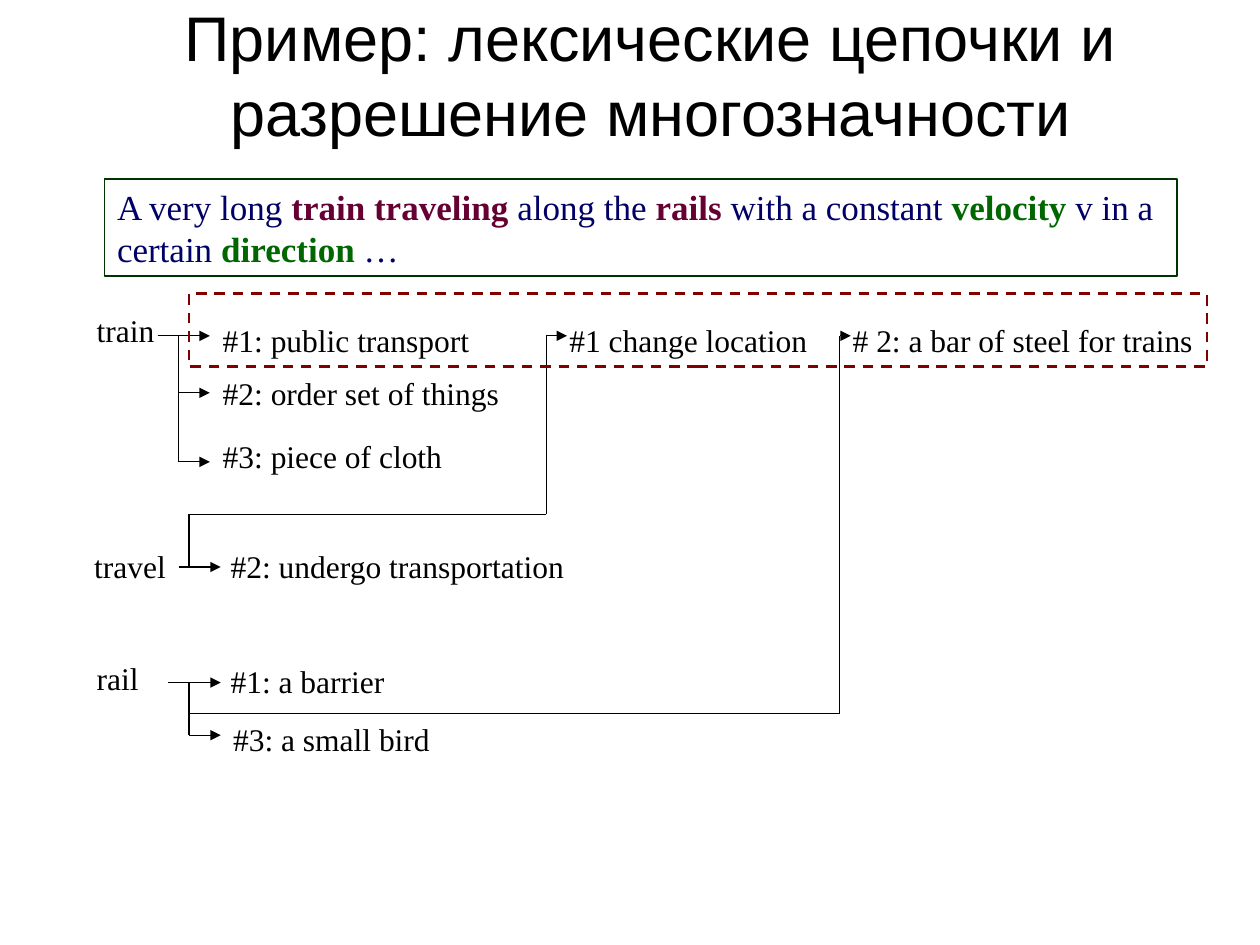
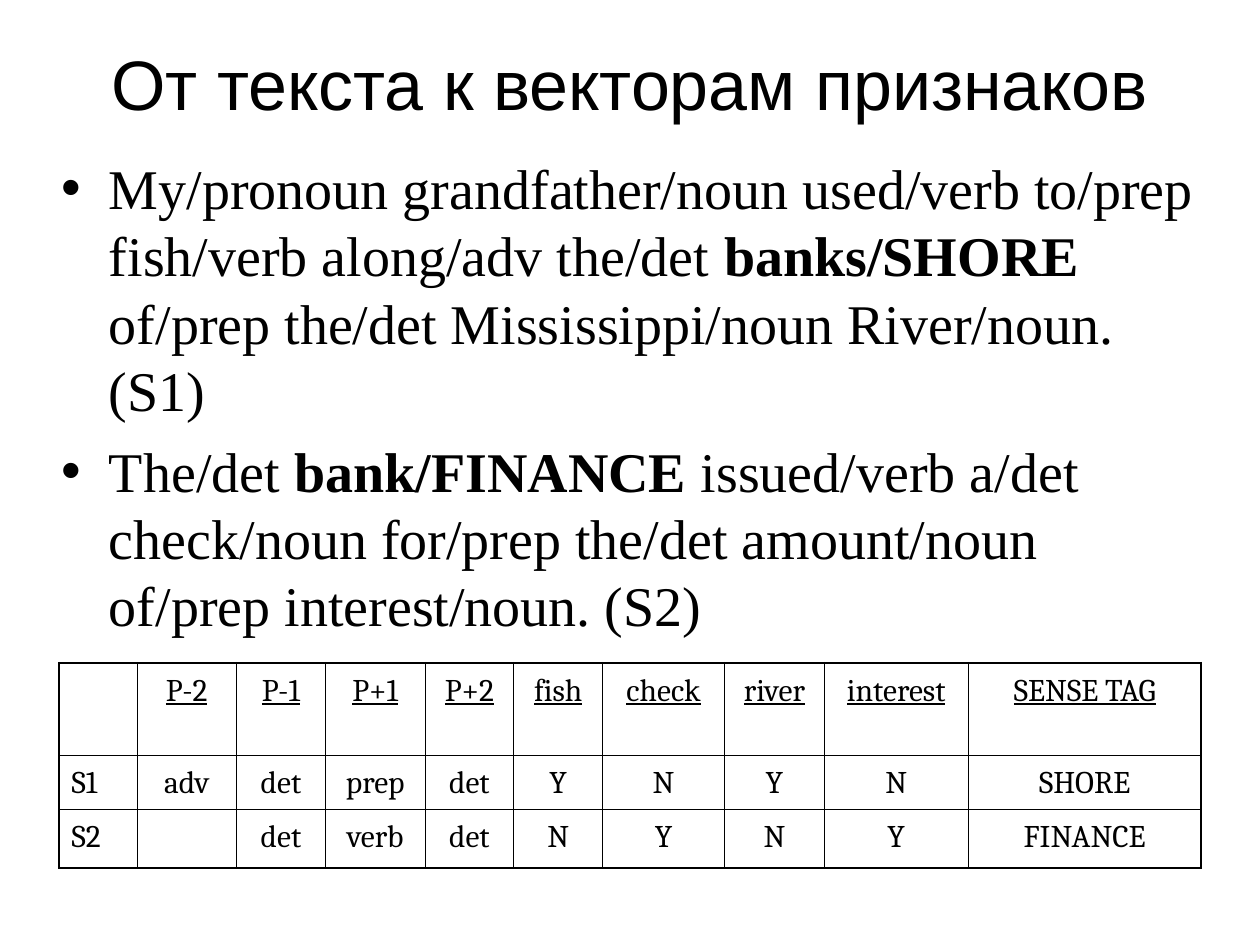
from itertools import pairwise

from lxml import etree
from pptx import Presentation
from pptx import util as u
from pptx.dml.color import RGBColor
from pptx.enum import dml, shapes, text
from pptx.oxml.ns import qn

COLORS = {
    "black": "000000",
    "navy": "000066",
    "plum": "660033",
    "green": "006600",
    "frame": "003300",
    "chain": "800000",
}
TITLE_FONT, BODY_FONT, TABLE_FONT = "Arial", "Times New Roman", "Cambria"

CHAINS_TITLE = "Пример: лексические цепочки и разрешение многозначности"
SENTENCE = [
    [
        ("A very long ", "navy"),
        ("train traveling", "plum"),
        (" along the ", "navy"),
        ("rails ", "plum"),
        ("with a constant ", "navy"),
        ("velocity ", "green"),
        ("v in a", "navy"),
    ],
    [("certain ", "navy"), ("direction ", "green"), ("…", "navy")],
]
LABELS = [
    ("train", 1.7, 6.15, 1.7),
    ("#1: public transport", 4.24, 6.35, 5.52),
    ("#2: order set of things", 4.24, 7.42, 6.15),
    ("#3: piece of cloth", 4.24, 8.69, 4.96),
    ("travel", 1.65, 10.9, 1.98),
    ("#1 change location", 11.23, 6.35, 5.34),
    ("#2: undergo transportation", 4.4, 10.9, 7.28),
    ("rail", 1.7, 13.16, 1.38),
    ("#1: a barrier", 4.4, 13.23, 3.65),
    ("# 2: a bar of steel for trains", 16.94, 6.35, 7.4),
    ("#3: a small bird", 4.45, 14.4, 4.5),
]
SENSE_ROW = 6.77
TRAVEL_ROW = 11.43
RAIL_ROW = 13.76
ROUTES = [
    [(3.18, SENSE_ROW), (4.23, SENSE_ROW)],
    [(3.6, 7.83), (3.6, 9.31), (4.23, 9.31)],
    [(3.6, TRAVEL_ROW), (4.45, TRAVEL_ROW)],
    [(3.39, RAIL_ROW), (4.45, RAIL_ROW)],
    [(3.81, RAIL_ROW), (3.81, 14.82), (4.45, 14.82)],
    [(3.81, TRAVEL_ROW), (3.81, 10.37), (11.01, 10.37),
     (11.01, SENSE_ROW), (11.43, SENSE_ROW)],
    [(3.81, 14.39), (16.93, 14.39), (16.93, SENSE_ROW), (17.15, SENSE_ROW)],
]
TRAIN_ELBOW = [(3.18, SENSE_ROW), (4.23, 7.92)]
ELBOW_BEND = 40000

VECTORS_TITLE = "От текста к векторам признаков"
TAGGED = [
    [
        ("My/pronoun grandfather/noun used/verb to/prep fish/verb along/adv the/det ", False),
        ("banks/SHORE", True),
        (" of/prep the/det Mississippi/noun River/noun. (S1)", False),
    ],
    [
        ("The/det ", False),
        ("bank/FINANCE ", True),
        ("issued/verb a/det check/noun for/prep the/det amount/noun "
         "of/prep interest/noun. (S2)", False),
    ],
]
FEATURES = [
    ["", "P-2", "P-1", "P+1", "P+2", "fish", "check", "river", "interest", "SENSE TAG"],
    ["S1", "adv", "det", "prep", "det", "Y", "N", "Y", "N", "SHORE"],
    ["S2", "", "det", "verb", "det", "N", "Y", "N", "Y", "FINANCE"],
]
COLUMN_WIDTHS = [1.57, 2.01, 1.79, 2.01, 1.79, 1.79, 2.46, 2.01, 2.9, 4.7]
ROW_HEIGHTS = [1.86, 1.09, 1.19]
OUTER, INNER = 1.08, 0.45


def rgb(name):
    return RGBColor.from_string(COLORS[name])


def cm(*values):
    return [u.Cm(v) for v in values]


def style(r, font, size, color="black", bold=False):
    r.font.name, r.font.size, r.font.bold = font, u.Pt(size), bold
    r.font.color.rgb = rgb(color)


def add_run(p, words, *look):
    r = p.add_run()
    r.text = words
    style(r, *look)


def paragraphs(tf, count):
    while len(tf.paragraphs) < count:
        tf.add_paragraph()
    return tf.paragraphs


def place(sp, left, top, width, height):
    sp.left, sp.top, sp.width, sp.height = cm(left, top, width, height)


def add_slide(prs, layout, title, size, box):
    s = prs.slides.add_slide(prs.slide_layouts.get_by_name(layout))
    place(s.shapes.title, *box)
    tf = s.shapes.title.text_frame
    tf.text = title
    tf.auto_size = text.MSO_AUTO_SIZE.NONE
    tf.vertical_anchor = text.MSO_ANCHOR.MIDDLE
    p = tf.paragraphs[0]
    p.alignment = text.PP_ALIGN.CENTER
    style(p.runs[0], TITLE_FONT, size)
    return s


def add_frame(s, box, color, width):
    sp = s.shapes.add_shape(shapes.MSO_SHAPE.RECTANGLE, *cm(*box))
    sp.shadow.inherit = False
    sp.fill.background()
    sp.line.color.rgb = rgb(color)
    sp.line.width = u.Pt(width)
    return sp


def fit_text(tf):
    tf.word_wrap = False
    tf.auto_size = text.MSO_AUTO_SIZE.SHAPE_TO_FIT_TEXT
    tf.vertical_anchor = text.MSO_ANCHOR.TOP


def add_label(s, words, left, top, width):
    tf = s.shapes.add_textbox(*cm(left, top, width, 1.02)).text_frame
    fit_text(tf)
    add_run(tf.paragraphs[0], words, BODY_FONT, 18)


def add_line(s, start, end, arrow, kind=shapes.MSO_CONNECTOR.STRAIGHT):
    line = s.shapes.add_connector(kind, *cm(*start, *end))
    line.line.color.rgb = rgb("black")
    line.line.width = u.Pt(0.75)
    if arrow:
        etree.SubElement(line.line._get_or_add_ln(), qn("a:tailEnd"), type="triangle")
    etree.SubElement(line._element.spPr, qn("a:effectLst"))
    return line


def add_elbow(s, start, end):
    line = add_line(s, start, end, True, shapes.MSO_CONNECTOR.ELBOW)
    guides = line._element.spPr.find(qn("a:prstGeom")).find(qn("a:avLst"))
    etree.SubElement(guides, qn("a:gd"), name="adj1", fmla=f"val {ELBOW_BEND}")


def set_borders(cell, widths):
    tc_pr = cell._tc.get_or_add_tcPr()
    for i, (side, width) in enumerate(zip("LRTB", widths)):
        ln = etree.Element(qn(f"a:ln{side}"), w=str(u.Pt(width)))
        fill = etree.SubElement(ln, qn("a:solidFill"))
        etree.SubElement(fill, qn("a:srgbClr"), val=COLORS["black"])
        tc_pr.insert(i, ln)


def chains_slide(prs):
    s = add_slide(prs, "Title Only", CHAINS_TITLE, 36, (1.9, 0.43, 22.43, 2.11))
    tf = add_frame(s, (2.11, 3.61, 21.62, 1.96), "frame", 1).text_frame
    fit_text(tf)
    for p, parts in zip(paragraphs(tf, len(SENTENCE)), SENTENCE):
        p.alignment = text.PP_ALIGN.LEFT
        for words, color in parts:
            add_run(p, words, BODY_FONT, 20, color, color != "navy")
    for label in LABELS:
        add_label(s, *label)
    for route in ROUTES:
        for start, end in pairwise(route):
            add_line(s, start, end, end == route[-1])
    add_elbow(s, *TRAIN_ELBOW)
    chain = add_frame(s, (3.81, 5.92, 20.52, 1.47), "chain", 1.5)
    chain.line.dash_style = dml.MSO_LINE.DASH


def add_features(s):
    rows, cols = len(FEATURES), len(COLUMN_WIDTHS)
    box = cm(1.19, 13.36, sum(COLUMN_WIDTHS), sum(ROW_HEIGHTS))
    table = s.shapes.add_table(rows, cols, *box).table
    table.first_row = table.horz_banding = False
    for column, width in zip(table.columns, COLUMN_WIDTHS):
        column.width = u.Cm(width)
    for row, height in zip(table.rows, ROW_HEIGHTS):
        row.height = u.Cm(height)
    for i, values in enumerate(FEATURES):
        for j, value in enumerate(values):
            cell = table.cell(i, j)
            cell.fill.background()
            edges = (j == 0, j == cols - 1, i == 0, i == rows - 1)
            set_borders(cell, [OUTER if edge else INNER for edge in edges])
            cell.text_frame.text = value
            p = cell.text_frame.paragraphs[0]
            p.line_spacing = 1.1
            p.alignment = text.PP_ALIGN.CENTER if j else text.PP_ALIGN.LEFT
            for r in p.runs:
                style(r, TABLE_FONT, 18)
                r.font.underline = i == 0


def vectors_slide(prs):
    s = add_slide(prs, "Title and Content", VECTORS_TITLE, 40, (1.9, 0.58, 21.59, 2.18))
    body = s.placeholders[1]
    place(body, 0.99, 2.97, 23.42, 15.09)
    tf = body.text_frame
    tf.auto_size = text.MSO_AUTO_SIZE.NONE
    for p, parts in zip(paragraphs(tf, len(TAGGED)), TAGGED):
        p.space_before = u.Pt(8)
        for words, bold in parts:
            add_run(p, words, BODY_FONT, 32, "black", bold)
    add_features(s)


def main():
    prs = Presentation()
    prs.slide_width, prs.slide_height = cm(25.4, 19.05)
    chains_slide(prs)
    vectors_slide(prs)
    prs.save("out.pptx")


if __name__ == "__main__":
    main()
